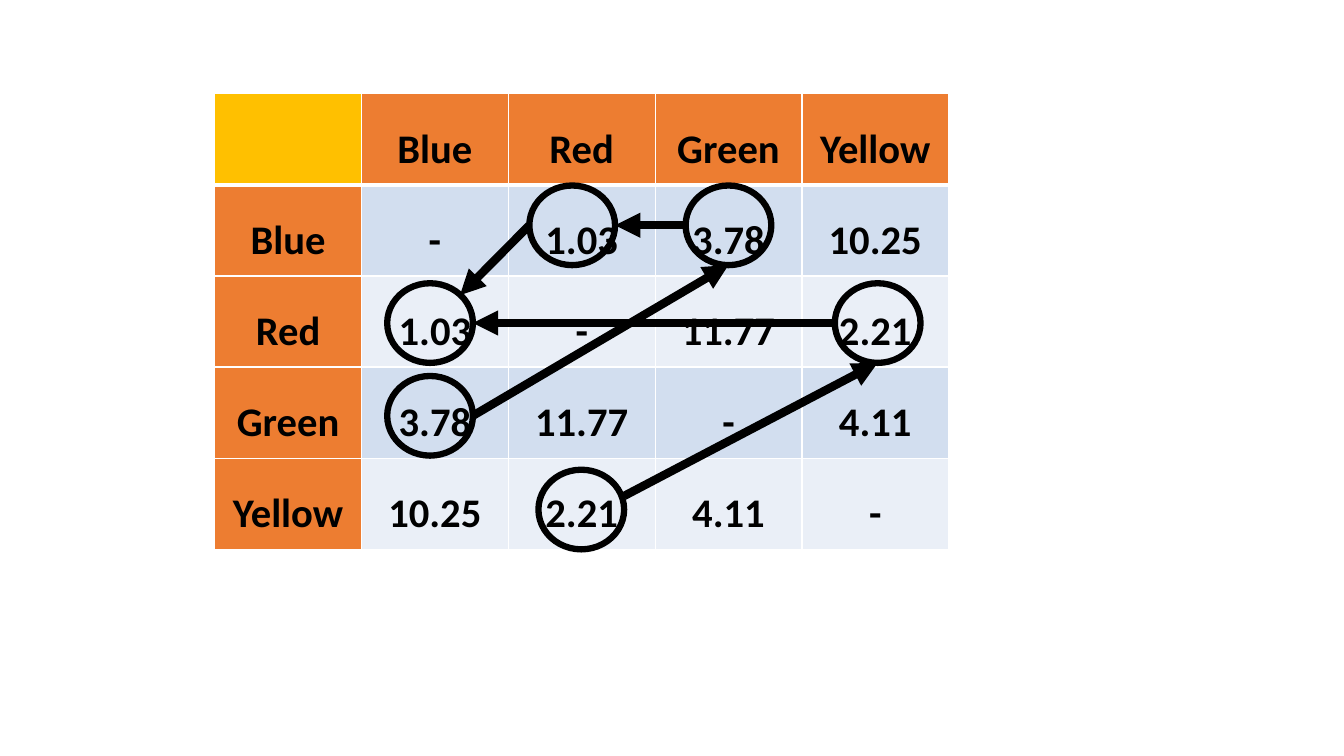
from lxml import etree
from pptx import Presentation
from pptx.dml.color import RGBColor
from pptx.enum.shapes import MSO_CONNECTOR as Link, MSO_SHAPE as Shape
from pptx.enum.text import PP_ALIGN as Align
from pptx.oxml.ns import qn
from pptx.util import Inches, Pt

NAMES = ["Blue", "Red", "Green", "Yellow"]
DATA = [
    ["-", "1.03", "3.78", "10.25"],
    ["1.03", "-", "11.77", "2.21"],
    ["3.78", "11.77", "-", "4.11"],
    ["10.25", "2.21", "4.11", "-"],
]
GRID = [[""] + NAMES] + [[name] + row for name, row in zip(NAMES, DATA)]

LEFT, TOP, WIDE, HIGH = 2.13, 0.93, 7.28, 4.52
CORNER, HEAD, BANDS = "FFC000", "ED7D31", ["EAEFF7", "D2DEEF"]
INK, WHITE = "000000", "FFFFFF"

RING_W, RING_H = 0.85, 0.79
# (row, column) of the ringed value: left and top of its ring
RINGS = {
    (4, 2): (5.34, 4.66),
    (3, 1): (3.84, 3.73),
    (1, 3): (6.8, 1.84),
    (1, 2): (5.25, 1.84),
    (2, 1): (3.84, 2.81),
    (2, 4): (8.28, 2.81),
}
# Points on a ring, as shares of its width and height
WEST, EAST, SOUTH = (0, 0.5), (1, 0.5), (0.5, 1)
NORTHEAST, UPPER_EAST = (0.85, 0.15), (1, 0.33)
ARROWS = [
    ((4, 2), UPPER_EAST, (2, 4), SOUTH),
    ((1, 3), WEST, (1, 2), EAST),
    ((1, 2), WEST, (2, 1), NORTHEAST),
    ((3, 1), EAST, (1, 3), SOUTH),
    ((2, 4), WEST, (2, 1), EAST),
]


def paint(fill, color):
    fill.solid()
    fill.fore_color.rgb = RGBColor.from_string(color)


def stroke(line, width):
    paint(line.fill, INK)
    line.width = Pt(width)


def edge(cell, side, width):
    """Draw one white border of a cell; side is L, R, T or B."""
    props = cell._tc.get_or_add_tcPr()
    line = etree.SubElement(props, qn("a:ln" + side), w=str(Pt(width)))
    solid = etree.SubElement(line, qn("a:solidFill"))
    etree.SubElement(solid, qn("a:srgbClr"), val=WHITE)


def shade(row, col):
    if row and col:
        return BANDS[row % 2]
    return HEAD if row or col else CORNER


def write(cell, text):
    para = cell.text_frame.paragraphs[0]
    para.alignment = Align.CENTER
    para.line_spacing = 1.5
    run = para.add_run()
    run.text = text
    font = run.font
    font.name, font.size, font.bold = "Calibri", Pt(29), True
    paint(font.fill, INK)


def add_grid(slide):
    size = len(GRID)
    table = slide.shapes.add_table(
        size, size, Inches(LEFT), Inches(TOP), Inches(WIDE), Inches(HIGH)).table
    for row, texts in enumerate(GRID):
        for col, text in enumerate(texts):
            cell = table.cell(row, col)
            cell.margin_left = cell.margin_right = Inches(0.12)
            cell.margin_top = cell.margin_bottom = Inches(0.06)
            thick = {(0, "B"), (1, "T")}
            for side in "LRTB":
                edge(cell, side, 3 if (row, side) in thick else 1)
            paint(cell.fill, shade(row, col))
            if text:
                write(cell, text)


def add_ring(slide, left, top):
    ring = slide.shapes.add_shape(
        Shape.OVAL, Inches(left), Inches(top), Inches(RING_W), Inches(RING_H))
    ring.shadow.inherit = False
    ring.fill.background()
    stroke(ring.line, 4.5)


def spot(key, share):
    left, top = RINGS[key]
    return Inches(left + share[0] * RING_W), Inches(top + share[1] * RING_H)


def add_arrow(slide, start, end):
    arrow = slide.shapes.add_connector(Link.STRAIGHT, *start, *end)
    stroke(arrow.line, 6)
    etree.SubElement(arrow.line._get_or_add_ln(), qn("a:tailEnd"), type="triangle")
    etree.SubElement(arrow._element.spPr, qn("a:effectLst"))


def main():
    deck = Presentation()
    deck.slide_width, deck.slide_height = Inches(13.33), Inches(7.5)
    slide = deck.slides.add_slide(deck.slide_layouts[6])
    add_grid(slide)
    for left, top in RINGS.values():
        add_ring(slide, left, top)
    for source, out, target, into in ARROWS:
        add_arrow(slide, spot(source, out), spot(target, into))
    deck.save("out.pptx")


if __name__ == "__main__":
    main()
